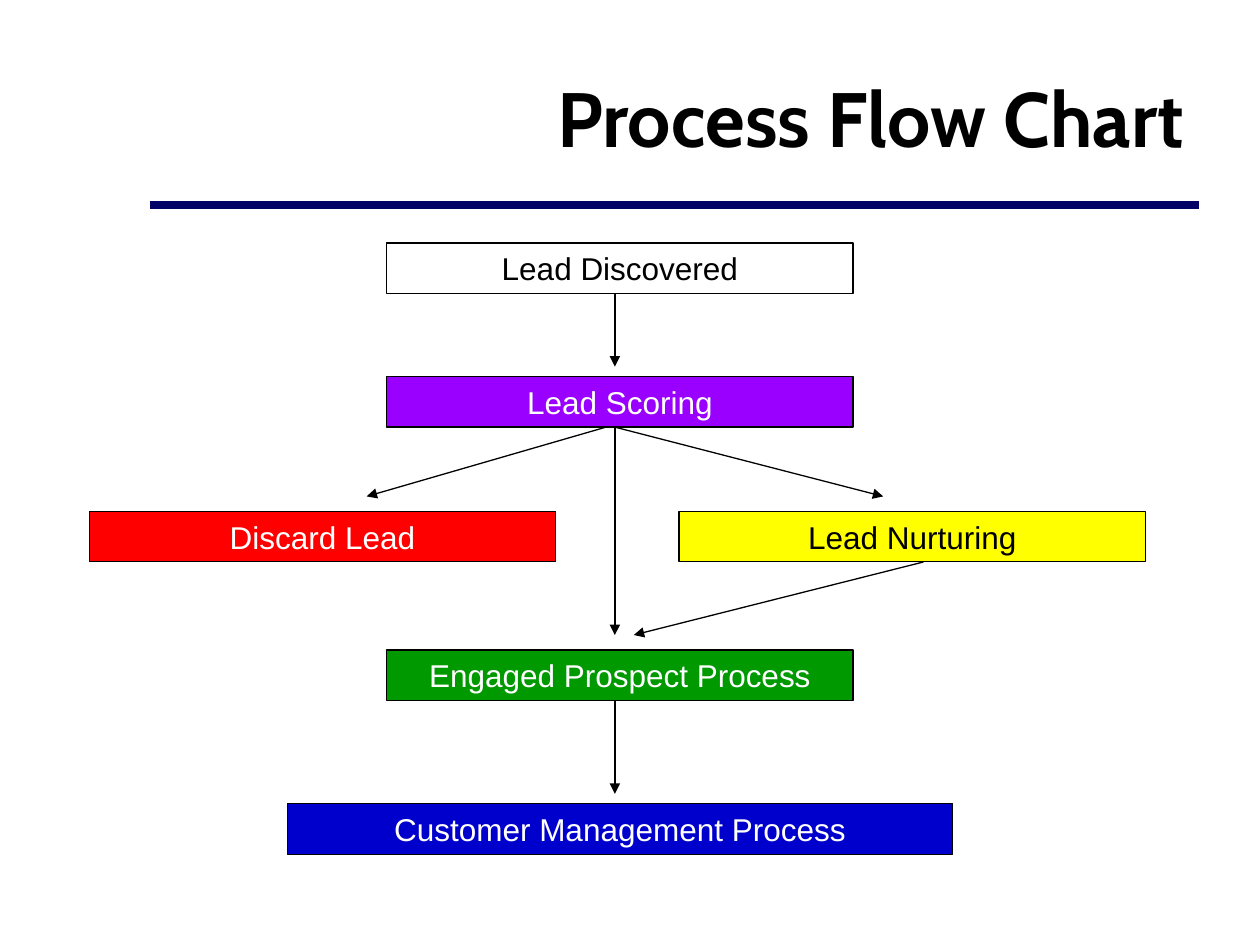
from collections import namedtuple

from lxml.etree import SubElement
from pptx import Presentation
from pptx.dml.color import RGBColor
from pptx.enum.shapes import MSO_CONNECTOR, MSO_SHAPE
from pptx.enum.text import MSO_ANCHOR, PP_ALIGN
from pptx.oxml.ns import qn
from pptx.util import Inches, Pt

BLACK = RGBColor(0x00, 0x00, 0x00)
WHITE = RGBColor(0xFF, 0xFF, 0xFF)
NAVY = RGBColor(0x00, 0x00, 0x66)
PURPLE = RGBColor(0x99, 0x00, 0xFF)
RED = RGBColor(0xFF, 0x00, 0x00)
YELLOW = RGBColor(0xFF, 0xFF, 0x00)
GREEN = RGBColor(0x00, 0x99, 0x00)
BLUE = RGBColor(0x00, 0x00, 0xCC)

SLIDE_WIDTH, SLIDE_HEIGHT = Inches(10), Inches(7.5)
COLUMN, ROW = SLIDE_WIDTH / 100, SLIDE_HEIGHT / 75
STEP_WIDTH, STEP_HEIGHT = 37, 4
MIDDLE, ARROW_MIDDLE = 42.1, 41.7
SHORT_GAP, LONG_GAP = 0.8, 1.2

Box = namedtuple("Box", "left top width height")
Step = namedtuple("Step", "label center top fill ink width", defaults=[STEP_WIDTH])
Arrow = namedtuple("Arrow", "source start target end gap")

STEPS = [
    Step("Lead Discovered", MIDDLE, 0, None, BLACK),
    Step("Lead Scoring", MIDDLE, 10.6, PURPLE, WHITE),
    Step("Discard Lead", 18.5, 21.3, RED, WHITE),
    Step("Lead Nurturing", 65.3, 21.3, YELLOW, BLACK),
    Step("Engaged Prospect Process", MIDDLE, 32.3, GREEN, WHITE),
    Step("Customer Management Process", MIDDLE, 44.5, BLUE, WHITE, 52.8),
]
ARROWS = [
    Arrow("Lead Discovered", ARROW_MIDDLE, "Lead Scoring", ARROW_MIDDLE, SHORT_GAP),
    Arrow("Lead Scoring", 41, "Discard Lead", 22, LONG_GAP),
    Arrow("Lead Scoring", ARROW_MIDDLE, "Lead Nurturing", 63, LONG_GAP),
    Arrow("Lead Scoring", ARROW_MIDDLE, "Engaged Prospect Process", ARROW_MIDDLE, LONG_GAP),
    Arrow("Lead Nurturing", 66.2, "Engaged Prospect Process", 43.2, LONG_GAP),
    Arrow("Engaged Prospect Process", ARROW_MIDDLE,
          "Customer Management Process", ARROW_MIDDLE, SHORT_GAP),
]


def grid(left, top, *size):
    """Turn columns and rows into slide lengths."""
    return [round(value * unit)
            for value, unit in zip((left, top, *size), (COLUMN, ROW) * 2)]


def write(shape, text, alignment, font_name, size, ink, bold=False):
    """Put one formatted line of text into a shape."""
    frame = shape.text_frame
    frame.text = text
    frame.word_wrap = True
    frame.vertical_anchor = MSO_ANCHOR.MIDDLE
    paragraph = frame.paragraphs[0]
    paragraph.alignment = alignment
    font = paragraph.runs[0].font
    font.name, font.size, font.bold = font_name, Pt(size), bold
    font.color.rgb = ink


def draw_line(slide, start, end, color, weight):
    """Draw a straight line without shadow between two grid points."""
    line = slide.shapes.add_connector(MSO_CONNECTOR.STRAIGHT, *grid(*start), *grid(*end))
    line.line.color.rgb = color
    line.line.width = Pt(weight)
    SubElement(line._element.spPr, qn("a:effectLst"))
    return line


def add_heading(slide, box):
    """Place the right-aligned title and the rule under it."""
    title = slide.shapes.add_textbox(*grid(box.left, box.top, box.width, box.height))
    write(title, "Process Flow Chart", PP_ALIGN.RIGHT, "Cabin", 44, BLACK, bold=True)
    rule_row = box.top + box.height + 0.75
    draw_line(slide, (box.left + 6.9, rule_row),
              (box.left + box.width + 0.2, rule_row), NAVY, 4.5)


def add_step(slide, box, step):
    """Place one labelled step within the chart box."""
    left = box.left + step.center - step.width / 2
    rectangle = slide.shapes.add_shape(
        MSO_SHAPE.RECTANGLE, *grid(left, box.top + step.top, step.width, STEP_HEIGHT))
    rectangle.shadow.inherit = False
    if step.fill is None:
        rectangle.fill.background()
    else:
        rectangle.fill.solid()
        rectangle.fill.fore_color.rgb = step.fill
    rectangle.line.color.rgb = BLACK
    rectangle.line.width = Pt(0.75)
    write(rectangle, step.label, PP_ALIGN.CENTER, "Arial", 18, step.ink)


def add_flow(slide, box):
    """Place the steps and the arrows that lead from one to another."""
    tops = {step.label: box.top + step.top for step in STEPS}
    for step in STEPS:
        add_step(slide, box, step)
    for arrow in ARROWS:
        line = draw_line(
            slide,
            (box.left + arrow.start, tops[arrow.source] + STEP_HEIGHT),
            (box.left + arrow.end, tops[arrow.target] - arrow.gap),
            BLACK, 0.75)
        SubElement(line.line._get_or_add_ln(), qn("a:tailEnd"), type="triangle")


def main():
    """Build and save the slide."""
    presentation = Presentation()
    presentation.slide_width, presentation.slide_height = SLIDE_WIDTH, SLIDE_HEIGHT
    slide = presentation.slides.add_slide(presentation.slide_layouts[6])
    add_heading(slide, Box(5, 3, 90, 12.5))
    add_flow(slide, Box(7.1, 19.3, 83.8, 48.5))
    presentation.save("out.pptx")


if __name__ == "__main__":
    main()
